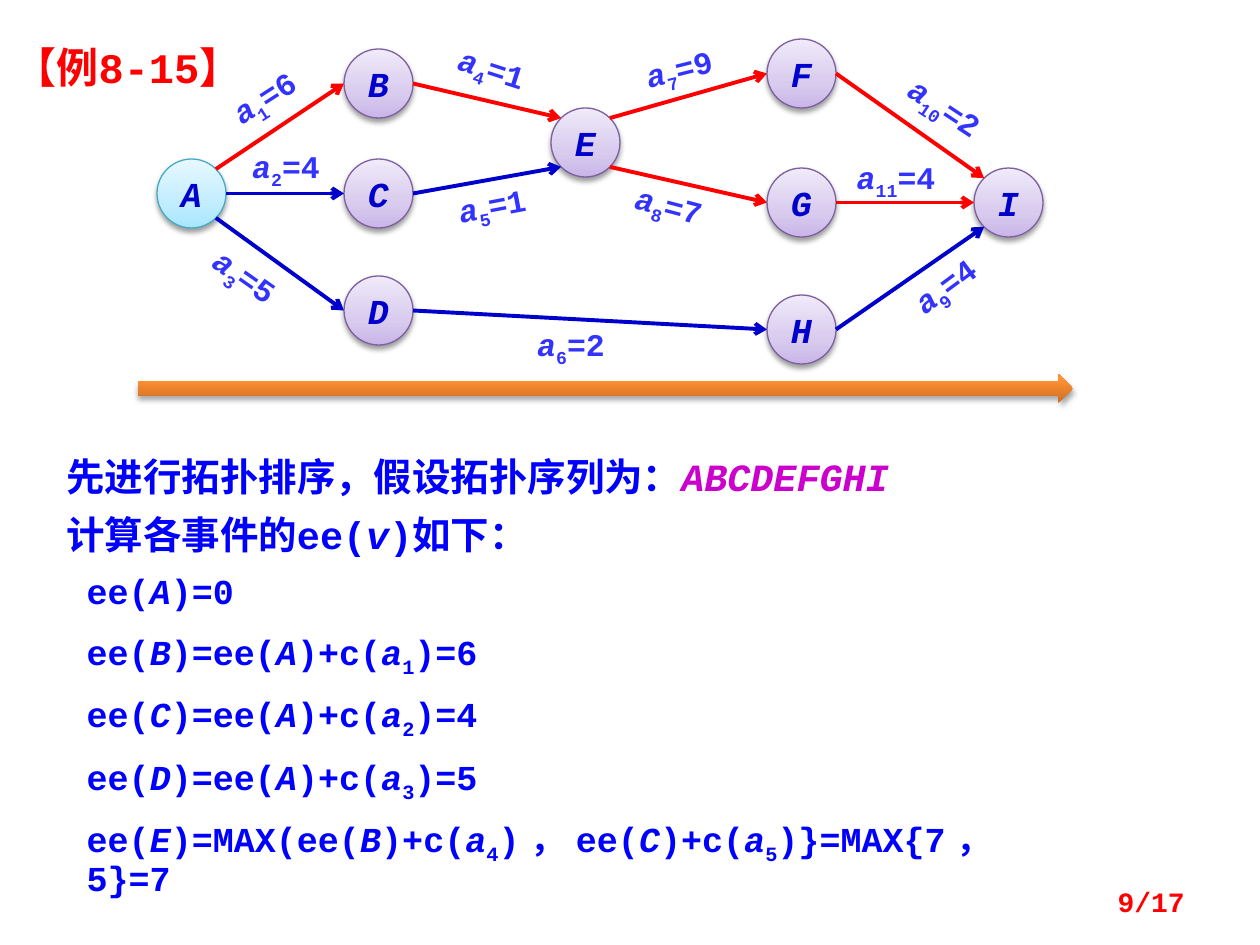
import math

import pptx
import pptx.dml.color
import pptx.enum.shapes
import pptx.enum.text
import pptx.oxml
import pptx.oxml.ns
import pptx.util

RGB = pptx.dml.color.RGBColor
Pt = pptx.util.Pt
ALIGN = pptx.enum.text.PP_ALIGN
ANCHOR = pptx.enum.text.MSO_ANCHOR
SHAPE = pptx.enum.shapes.MSO_SHAPE
NS = pptx.oxml.ns.nsdecls("a")

RED = RGB(0xFF, 0x00, 0x00)
BLUE = RGB(0x00, 0x00, 0xFF)
NAVY = RGB(0x00, 0x00, 0xCC)
LABEL_BLUE = RGB(0x33, 0x33, 0xFF)
MAGENTA = RGB(0xCC, 0x00, 0xCC)
TEAL = RGB(0x46, 0xAA, 0xC5)
PURPLE = RGB(0x7D, 0x60, 0xA0)

# Gradient stops: position in percent, colour
SKY_FILL = [(0, RGB(0xA7, 0xE6, 0xFF)), (35, RGB(0xC1, 0xED, 0xFF)), (100, RGB(0xE7, 0xF8, 0xFF))]
LILAC_FILL = [(0, RGB(0xC9, 0xB5, 0xE8)), (35, RGB(0xD8, 0xCB, 0xEE)), (100, RGB(0xF0, 0xEA, 0xF9))]
ORANGE_FILL = [(0, RGB(0xCC, 0x6E, 0x20)), (80, RGB(0xFF, 0x90, 0x34)), (100, RGB(0xFF, 0x91, 0x36))]

NODE = 69                    # node diameter
LABEL_W, LABEL_H = 118, 39   # edge label box
NODES = {"A": (20, 120), "B": (207, 10), "C": (207, 120), "D": (207, 237), "E": (414, 69),
         "F": (630, 0), "G": (630, 129), "H": (630, 256), "I": (837, 129)}
COMPASS = {"E": 0, "SE": 45, "SW": 135, "W": 180, "NW": 225, "NE": 315}
# From node and side, to node and side, colour, weight, label left, top, rotation
EDGES = [
    ("A", "NE", "B", "W", RED, 6, 68, 39, 327.3),
    ("A", "E", "C", "W", NAVY, 4, 90, 108, 0),
    ("A", "SE", "D", "W", NAVY, 5, 49, 218, 35.2),
    ("B", "E", "E", "NW", RED, 1, 296, 10, 17.8),
    ("C", "E", "E", "SW", NAVY, 1, 296, 147, 349.2),
    ("D", "E", "H", "W", NAVY, 2, 375, 286, 0),
    ("E", "NE", "F", "W", RED, 9, 483, 10, 346),
    ("E", "SE", "G", "W", RED, 7, 473, 147, 14.7),
    ("H", "E", "I", "SW", NAVY, 4, 749, 227, 323.4),
    ("F", "E", "I", "NW", RED, 2, 749, 49, 33.4),
    ("G", "E", "I", "W", RED, 4, 700, 119, 0),
]
# *italic*, ~subscript~
INTRO = ["先进行拓扑排序，假设拓扑序列为：*ABCDEFGHI*", "计算各事件的ee(*v*)如下："]
EQUATIONS = [
    "ee(*A*)=0",
    "ee(*B*)=ee(*A*)+c(*a*~1~)=6",
    "ee(*C*)=ee(*A*)+c(*a*~2~)=4",
    "ee(*D*)=ee(*A*)+c(*a*~3~)=5",
    "ee(*E*)=MAX(ee(*B*)+c(*a*~4~)，ee(*C*)+c(*a*~5~)}=MAX{7，5}=7",
]


def px(n):
    return round(n * 914400 / 126)


def set_all(obj, **values):
    for name, value in values.items():
        setattr(obj, name, value)


def place(sp, x, y, w, h):
    set_all(sp, left=px(x), top=px(y), width=px(w), height=px(h))


def write(sp, lines, size, color, inset=None, anchor=ANCHOR.TOP, **para):
    """Fill a shape with marked-up lines in the slide's font."""
    tf = sp.text_frame
    set_all(tf, word_wrap=True, vertical_anchor=anchor, auto_size=pptx.enum.text.MSO_AUTO_SIZE.NONE)
    if inset is not None:
        set_all(tf, margin_left=inset, margin_top=inset, margin_right=inset, margin_bottom=inset)
    gap = para.pop("space_before", Pt(0))
    for n, line in enumerate(lines):
        p = tf.add_paragraph() if n else tf.paragraphs[0]
        set_all(p, space_before=gap if n else Pt(0), **para)
        for i, part in enumerate(line.split("*")):
            for j, piece in enumerate(part.split("~")):
                if not piece:
                    continue
                r = p.add_run()
                r.text = piece
                set_all(r.font, name="Courier New", size=Pt(size), bold=True, italic=i % 2 == 1)
                r.font.color.rgb = color
                if j % 2:
                    r.font._element.set("baseline", "-25000")
    return tf


def add_text(s, x, y, w, h, lines, size, color, **options):
    sp = s.shapes.add_textbox(px(x), px(y), px(w), px(h))
    write(sp, lines, size, color, **options)
    return sp


def add_solid(s, kind, x, y, w, h, stops, line, alpha):
    """Shape with an upward gradient and a soft shadow below it."""
    sp = s.shapes.add_shape(kind, px(x), px(y), px(w), px(h))
    if line is None:
        sp.line.fill.background()
    else:
        sp.line.color.rgb = line
        sp.line.width = Pt(0.75)
    gs = "".join(f'<a:gs pos="{pos * 1000}"><a:srgbClr val="{c}"/></a:gs>' for pos, c in stops)
    sp._element.spPr.find(pptx.oxml.ns.qn("a:prstGeom")).addnext(pptx.oxml.parse_xml(
        f'<a:gradFill {NS} rotWithShape="1"><a:gsLst>{gs}</a:gsLst>'
        '<a:lin ang="16200000" scaled="0"/></a:gradFill>'))
    sp.shadow.inherit = False
    sp._element.spPr.find(pptx.oxml.ns.qn("a:effectLst")).append(pptx.oxml.parse_xml(
        f'<a:outerShdw {NS} blurRad="{Pt(3)}" dist="{Pt(2)}" dir="5400000" rotWithShape="0">'
        f'<a:srgbClr val="000000"><a:alpha val="{alpha * 1000}"/></a:srgbClr></a:outerShdw>'))
    return sp


def rim(name, side):
    """Point on a node's edge, relative to the graph."""
    x, y = NODES[name]
    a = math.radians(COMPASS[side])
    return x + NODE / 2 * (1 + math.cos(a)), y + NODE / 2 * (1 + math.sin(a))


def add_arrow(s, x1, y1, x2, y2, color):
    c = s.shapes.add_connector(pptx.enum.shapes.MSO_CONNECTOR.STRAIGHT, px(x1), px(y1), px(x2), px(y2))
    c.line.color.rgb = color
    c.line.width = Pt(2.25)
    c.line._get_or_add_ln().append(pptx.oxml.parse_xml(f'<a:tailEnd {NS} type="arrow"/>'))
    c._element.spPr.append(pptx.oxml.parse_xml(f"<a:effectLst {NS}/>"))


def add_graph(s, x, y):
    # Nodes
    for name, (nx, ny) in NODES.items():
        stops, line = (SKY_FILL, TEAL) if name == "A" else (LILAC_FILL, PURPLE)
        sp = add_solid(s, SHAPE.OVAL, x + nx, y + ny, NODE, NODE, stops, line, 38)
        write(sp, [f"*{name}*"], 20, NAVY, anchor=ANCHOR.MIDDLE, alignment=ALIGN.CENTER)
    # Edges with their weights
    for n, (a, side_a, b, side_b, color, weight, lx, ly, rot) in enumerate(EDGES, 1):
        x1, y1 = rim(a, side_a)
        x2, y2 = rim(b, side_b)
        add_arrow(s, x + x1, y + y1, x + x2, y + y2, color)
        sp = add_text(s, x + lx, y + ly, LABEL_W, LABEL_H, [f"*a*~{n}~={weight}"], 18, LABEL_BLUE,
                      inset=0, alignment=ALIGN.CENTER)
        sp.rotation = rot
    # Direction of the computation
    add_solid(s, SHAPE.RIGHT_ARROW, x + 1, y + 335, 935, 29, ORANGE_FILL, None, 35)


def add_title(s, x, y, w, h):
    sp = s.shapes.title
    place(sp, x, y, w, h)
    write(sp, ["【例8-15】"], 24, RED, alignment=ALIGN.CENTER)


def add_intro(s, x, y, w, h):
    sp = add_text(s, x, y, w, h, INTRO, 22, BLUE, line_spacing=Pt(22), space_before=Pt(11))
    sp.text_frame.paragraphs[0].runs[-1].font.color.rgb = MAGENTA


def add_equations(s, x, y, w, h):
    sp = s.placeholders[1]
    place(sp, x, y, w, h)
    tf = write(sp, EQUATIONS, 20, BLUE, alignment=ALIGN.JUSTIFY, line_spacing=0.9, space_before=Pt(11))
    for p in tf.paragraphs:
        pPr = p._p.get_or_add_pPr()
        pPr.set("marL", "0")
        pPr.set("indent", "0")
        pPr.append(pptx.oxml.parse_xml(f"<a:buNone {NS}/>"))


def main():
    prs = pptx.Presentation()
    prs.slide_width, prs.slide_height = px(1260), px(945)
    s = prs.slides.add_slide(prs.slide_layouts[1])
    add_title(s, 0, 35, 256, 63)
    add_graph(s, 137, 39)
    add_intro(s, 54, 455, 1062, 116)
    add_equations(s, 74, 568, 930, 289)
    add_text(s, 903, 876, 294, 50, ["9/17"], 16, RED, anchor=ANCHOR.MIDDLE, alignment=ALIGN.RIGHT)
    prs.save("out.pptx")


if __name__ == "__main__":
    main()
